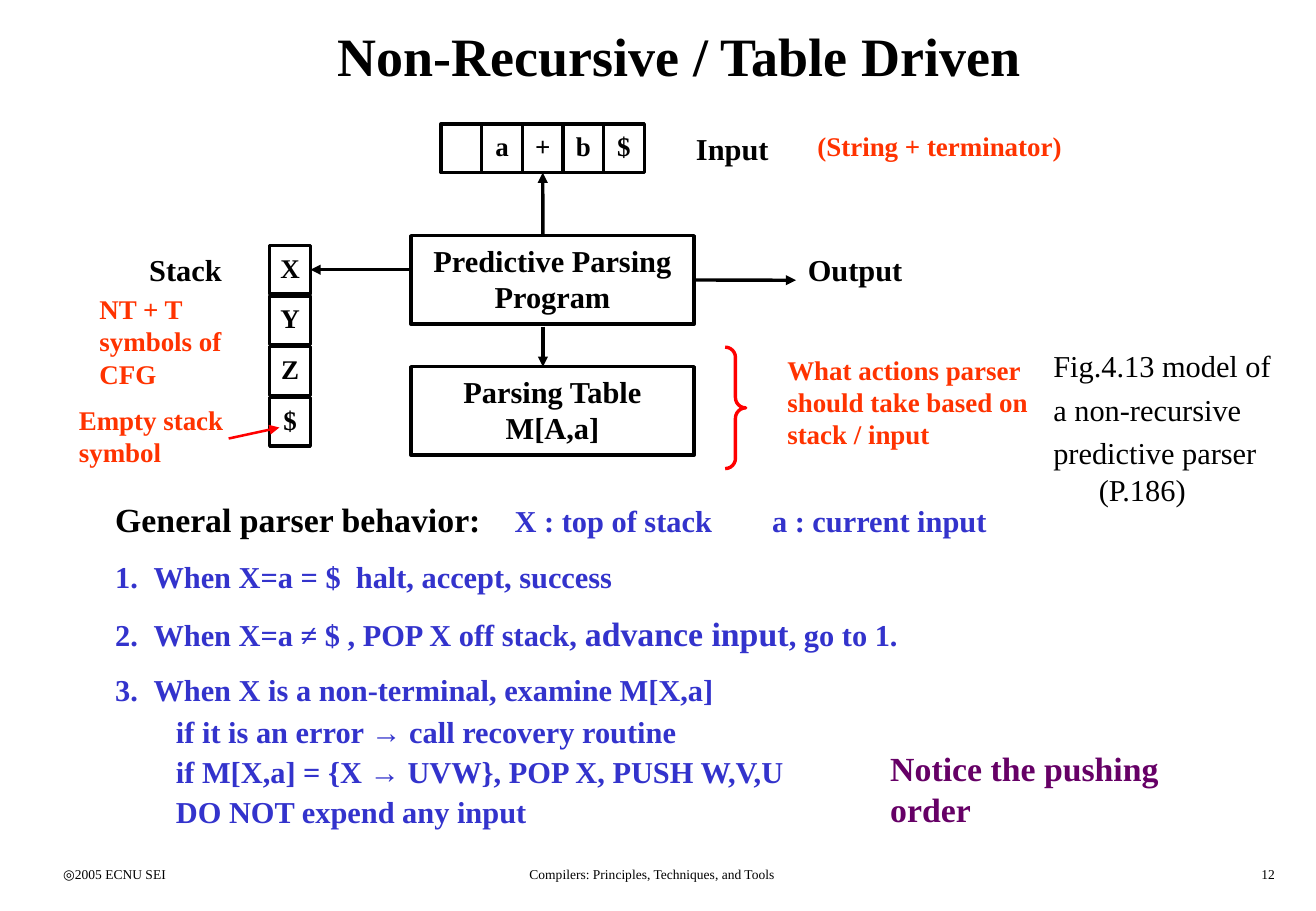
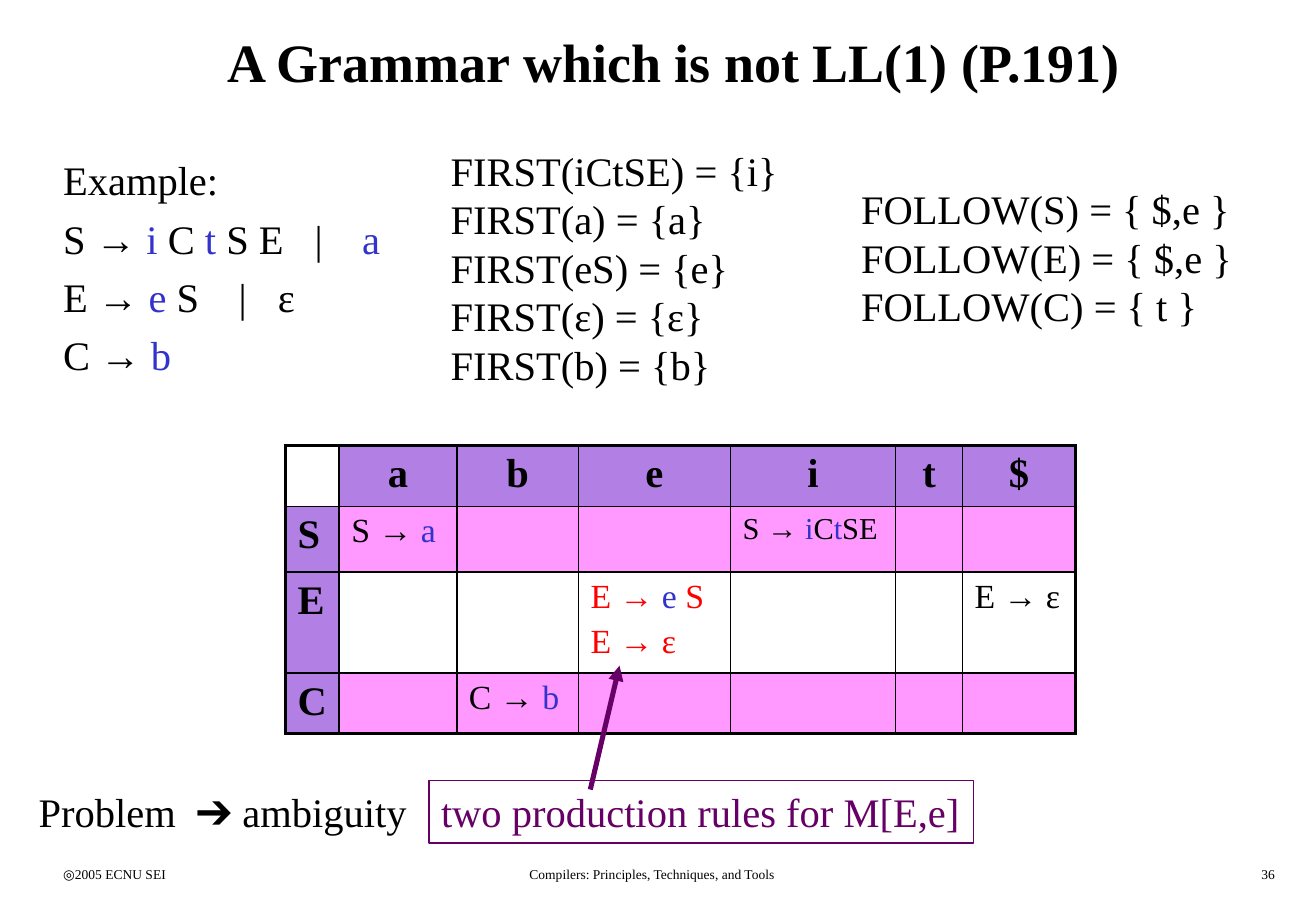
from lxml import etree
from pptx import Presentation
from pptx.dml.color import RGBColor
from pptx.enum import shapes, text
from pptx.oxml import ns
from pptx.util import Cm, Pt

FONT = "Times New Roman"
BLACK, BLUE, ORANGE, RED, PURPLE = "000000", "3333CC", "FF3300", "FF0000", "660066"
VIOLET, PINK = "6600CC", "FF99FF"
LEFT, CENTER, RIGHT = text.PP_ALIGN.LEFT, text.PP_ALIGN.CENTER, text.PP_ALIGN.RIGHT
TOP_SIDE, LEFT_SIDE, BOTTOM_SIDE, RIGHT_SIDE = range(4)

# Content: boxes are (left, top, width, height) in cm.
# A line is a string or a list of spans; a span is a string or (string, overrides).
IN_BLUE = {"color": BLUE}
NOTE = {"size": 16, "bold": True, "color": ORANGE}
LABEL = {"size": 18, "bold": True}

FOOTER_LEFT = "◎2005 ECNU SEI"
FOOTER_CENTER = "Compilers: Principles, Techniques, and Tools"

INPUT_SYMBOLS = ["", "a", "+", "b", "$"]
STACK_SYMBOLS = ["X", "Y", "Z", "$"]
DIAGRAM_TEXTS = [
    ((14.3, 2.59, 2.34, 1.02), "Input", LABEL),
    ((2.87, 5.13, 2.34, 1.02), "Stack", LABEL),
    ((16.64, 5.13, 3.18, 1.02), "Output", LABEL),
    ((16.84, 2.59, 5.72, 0.94), "(String + terminator)", NOTE),
    ((1.83, 5.99, 3.18, 2.29), "NT + T symbols of CFG", NOTE),
    ((1.4, 8.31, 3.81, 1.63), "Empty stack symbol", NOTE),
    ((16.21, 7.26, 5.92, 2.29),
     "What actions parser should take based on stack / input", NOTE),
    ((18.36, 15.52, 7.98, 1.09), "Notice the pushing order",
     {"size": 20, "bold": True, "color": PURPLE}),
]
FIGURE_CAPTION = ["Fig.4.13 model of", "a non-recursive", "predictive parser (P.186)"]
BEHAVIOR = [
    [("General parser behavior:", {"size": 20, "color": BLACK}),
     "\tX : top of stack\ta : current input"],
    "1.\tWhen X=a = $  halt, accept, success",
    ["2.\tWhen X=a ≠ $ , POP X off stack, ", ("advance input", {"size": 20}),
     ", go to 1."],
    "3.\tWhen X is a non-terminal, examine M[X,a]",
]
NON_TERMINAL_STEPS = [
    "if it is an error → call recovery routine",
    "if M[X,a] = {X → UVW}, POP X, PUSH W,V,U",
    "DO NOT expend any input",
]

GRAMMAR = [
    ("Example:", []),
    (["S → ", ("i ", IN_BLUE), "C", (" t ", IN_BLUE), "S E\t|\t", ("a", IN_BLUE)],
     [5.26, 6.25]),
    (["E → ", ("e ", IN_BLUE), "S\t|\tε"], [3.67, 4.49]),
    (["C → ", ("b", IN_BLUE)], []),
]
FIRST_SETS = ["FIRST(iCtSE) = {i}", "FIRST(a) = {a}", "FIRST(eS) = {e}",
              "FIRST(ε) = {ε}", "FIRST(b) = {b}"]
FOLLOW_SETS = ["FOLLOW(S) = { $,e }", "FOLLOW(E) = { $,e }", "FOLLOW(C) = { t }"]

TABLE_COLUMNS = [1.12, 2.46, 2.54, 3.18, 3.45, 1.4, 2.36]
TABLE_ROWS = [1.27, 1.37, 2.11, 1.27]
TERMINALS = ["a", "b", "e", "i", "t", "$"]
NON_TERMINALS = ["S", "E", "C"]
PRODUCTIONS = {  # (non-terminal, terminal): (lines, format)
    ("S", "a"): ([["S → ", ("a", IN_BLUE)]], {}),
    ("S", "i"): ([["S → ", ("i", IN_BLUE), "C", ("t", IN_BLUE), "SE"]], {"size": 18}),
    ("E", "e"): ([["E → ", ("e", IN_BLUE), " S"], "E → ε"], {"color": RED}),
    ("E", "$"): (["E → ε"], {}),
    ("C", "b"): ([["C → ", ("b", IN_BLUE)]], {}),
}


def rgb(value):
    return RGBColor.from_string(value)


def cm(values):
    return [Cm(value) for value in values]


def child(parent, tag, **attributes):
    return etree.SubElement(parent, ns.qn(tag), attributes)


def set_indent(para, left, first=0):
    properties = para._p.get_or_add_pPr()
    properties.set("marL", str(Cm(left)))
    properties.set("indent", str(Cm(first)))


def set_tabs(para, stops):
    tab_list = child(para._p.get_or_add_pPr(), "a:tabLst")
    for stop in stops:
        child(tab_list, "a:tab", pos=str(Cm(stop)), algn="l")


def write(frame, lines, size=18, color=BLACK, bold=False, align=LEFT, space=0):
    """Fill a text frame; space is the gap in points between paragraphs."""
    paragraphs = []
    for index, line in enumerate([lines] if isinstance(lines, str) else lines):
        para = frame.add_paragraph() if index else frame.paragraphs[0]
        para.alignment = align
        para.space_before = Pt(space if index else 0)
        for part in [line] if isinstance(line, str) else line:
            words, changes = (part, {}) if isinstance(part, str) else part
            look = {"size": size, "color": color, "bold": bold, **changes}
            span = para.add_run()
            span.text = words
            span.font.name = FONT
            span.font.size = Pt(look["size"])
            span.font.bold = look["bold"]
            span.font.color.rgb = rgb(look["color"])
        paragraphs.append(para)
    return paragraphs


def add_text(page, box, lines, wrap=True, **look):
    frame = page.shapes.add_textbox(*cm(box)).text_frame
    frame.word_wrap = wrap
    return write(frame, lines, **look)


def add_outline(page, box, color=BLACK, width=2, kind=shapes.MSO_SHAPE.RECTANGLE):
    """Add an unfilled shape."""
    shape = page.shapes.add_shape(kind, *cm(box))
    shape.shadow.inherit = False
    shape.fill.background()
    shape.line.color.rgb = rgb(color)
    shape.line.width = Pt(width)
    return shape


def add_framed_text(page, box, lines, color=BLACK, width=2, wrap=True, margin=0.25,
                    **look):
    shape = add_outline(page, box, color, width)
    frame = shape.text_frame
    frame.word_wrap = wrap
    frame.vertical_anchor = text.MSO_ANCHOR.TOP
    frame.margin_left = frame.margin_right = Cm(margin)
    write(frame, lines, color=color, **look)
    return shape


def add_arrow(page, start, end, color=BLACK, width=2, start_at=None, end_at=None):
    """Draw from start to end; start_at and end_at are (shape, side) to join."""
    arrow = page.shapes.add_connector(shapes.MSO_CONNECTOR.STRAIGHT,
                                      *cm(start), *cm(end))
    if start_at:
        arrow.begin_connect(*start_at)
    if end_at:
        arrow.end_connect(*end_at)
    arrow.line.color.rgb = rgb(color)
    arrow.line.width = Pt(width)
    child(arrow.line._get_or_add_ln(), "a:tailEnd", type="triangle")
    child(arrow._element.spPr, "a:effectLst")


def add_page(deck, title, title_box, number):
    """Add a slide with its title and the shared footer."""
    page = deck.slides.add_slide(deck.slide_layouts[5])
    heading = page.shapes.title
    heading.left, heading.top, heading.width, heading.height = cm(title_box)
    heading.text_frame.vertical_anchor = text.MSO_ANCHOR.MIDDLE
    write(heading.text_frame, title, size=32, bold=True, align=CENTER)
    for left, width, words, align in [(1.07, 5.74, FOOTER_LEFT, LEFT),
                                      (8.48, 10.31, FOOTER_CENTER, CENTER),
                                      (21.16, 5.74, str(number), RIGHT)]:
        add_text(page, (left, 17.98, width, 0.64), words, size=8, align=align)
    return page


def add_cells(page, symbols, left, top, step_x=0, step_y=0):
    return [add_framed_text(page, (left + i * step_x, top + i * step_y, 0.85, 1.02),
                            symbol, size=16, bold=True, align=CENTER, margin=0)
            for i, symbol in enumerate(symbols)]


def add_diagram(page):
    input_cells = add_cells(page, INPUT_SYMBOLS, 9.22, 2.59, step_x=0.85)
    stack_cells = add_cells(page, STACK_SYMBOLS, 5.64, 5.13, step_y=1.06)
    program, _ = [add_framed_text(page, (8.59, top, 5.92, 1.85), words,
                                  align=CENTER, **LABEL)
                  for top, words in [(4.93, "Predictive Parsing Program"),
                                     (7.67, "Parsing Table M[A,a]")]]
    add_arrow(page, (11.35, 4.93), (11.35, 3.61), end_at=(input_cells[2], BOTTOM_SIDE))
    add_arrow(page, (8.59, 5.64), (6.49, 5.64), end_at=(stack_cells[0], RIGHT_SIDE))
    add_arrow(page, (14.51, 5.86), (16.64, 5.86), start_at=(program, RIGHT_SIDE))
    add_arrow(page, (11.35, 6.83), (11.35, 7.67))
    add_arrow(page, (4.78, 9.17), (5.84, 8.94), RED, 1.5)
    brace = add_outline(page, (15.16, 7.26, 0.43, 2.54), RED,
                        kind=shapes.MSO_SHAPE.RIGHT_BRACE)
    brace.adjustments[0] = brace.adjustments[1] = 0.5
    for box, words, look in DIAGRAM_TEXTS:
        add_text(page, box, words, **look)


def build_parser_page(deck):
    page = add_page(deck, "Non-Recursive / Table Driven", (3, 0, 22.4, 2.31), 12)
    add_diagram(page)
    for para in add_text(page, (21.77, 7.14, 5.16, 3.61), FIGURE_CAPTION, space=4.2):
        set_indent(para, 0.95, -0.95)
    paragraphs = add_text(page, (2.16, 10.31, 20.12, 7.19),
                          BEHAVIOR + NON_TERMINAL_STEPS,
                          bold=True, color=BLUE, space=10.8)
    set_tabs(paragraphs[0], [8.35, 13.73])
    for para in paragraphs[1:len(BEHAVIOR)]:
        set_tabs(para, [0.8])
    for para in paragraphs[len(BEHAVIOR):]:
        set_indent(para, 1.27)
        para.line_spacing = 0.6


def format_cell(cell, row, column):
    """Thick borders on the table's outside, violet headers, pink odd rows."""
    properties = cell._tc.get_or_add_tcPr()
    outside = {"a:lnL": column == 0, "a:lnR": column == len(TABLE_COLUMNS) - 1,
               "a:lnT": row == 0, "a:lnB": row == len(TABLE_ROWS) - 1}
    for tag, thick in outside.items():
        border = child(properties, tag, w=str(Pt(2.25 if thick else 1)))
        child(child(border, "a:solidFill"), "a:srgbClr", val=BLACK)
    header = (row == 0) != (column == 0)
    if header or (row % 2 and column):
        cell.fill.solid()
        cell.fill.fore_color.rgb = rgb(VIOLET if header else PINK)
    else:
        cell.fill.background()
    if header:
        color = properties.find(ns.qn("a:solidFill")).find(ns.qn("a:srgbClr"))
        child(color, "a:alpha", val="50000")


def add_parsing_table(page):
    table = page.shapes.add_table(
        len(TABLE_ROWS), len(TABLE_COLUMNS),
        *cm((5.97, 9.32, sum(TABLE_COLUMNS), sum(TABLE_ROWS)))).table
    table.first_row = table.horz_banding = False
    for column, width in zip(table.columns, TABLE_COLUMNS):
        column.width = Cm(width)
    for row, height in zip(table.rows, TABLE_ROWS):
        row.height = Cm(height)
    for row, non_terminal in enumerate([""] + NON_TERMINALS):
        for column, terminal in enumerate([""] + TERMINALS):
            cell = table.cell(row, column)
            format_cell(cell, row, column)
            if row and column:
                lines, look = PRODUCTIONS.get((non_terminal, terminal), ([], {}))
                write(cell.text_frame, lines, **{"size": 20, "space": 4.6, **look})
            elif row or column:
                write(cell.text_frame, non_terminal or terminal, size=24, bold=True,
                      align=LEFT if row else CENTER)


def build_grammar_page(deck):
    page = add_page(deck, "A Grammar which is not LL(1) (P.191)",
                    (1.07, 0.43, 26.04, 1.7), 36)
    paragraphs = add_text(page, (1.07, 3.12, 8.31, 5.79),
                          [line for line, _ in GRAMMAR], size=24, space=5.8)
    for para, (_, stops) in zip(paragraphs, GRAMMAR):
        if stops:
            set_tabs(para, stops)
    add_text(page, (9.17, 2.92, 8.2, 5.33), FIRST_SETS, size=24)
    add_text(page, (17.75, 3.73, 8.61, 3.3), FOLLOW_SETS, size=24)
    add_parsing_table(page)
    add_text(page, (0.56, 16.33, 8.33, 1.27), "Problem  ➔ ambiguity", wrap=False, size=24)
    add_framed_text(page, (8.97, 16.33, 11.38, 1.3), "two production rules for M[E,e]",
                    PURPLE, 0.75, wrap=False, size=24)
    add_arrow(page, (12.34, 16.51), (12.95, 13.92), PURPLE, 3)


def main():
    deck = Presentation()
    deck.slide_width, deck.slide_height = Cm(27.51), Cm(19.05)
    build_parser_page(deck)
    build_grammar_page(deck)
    deck.save("out.pptx")


if __name__ == "__main__":
    main()
